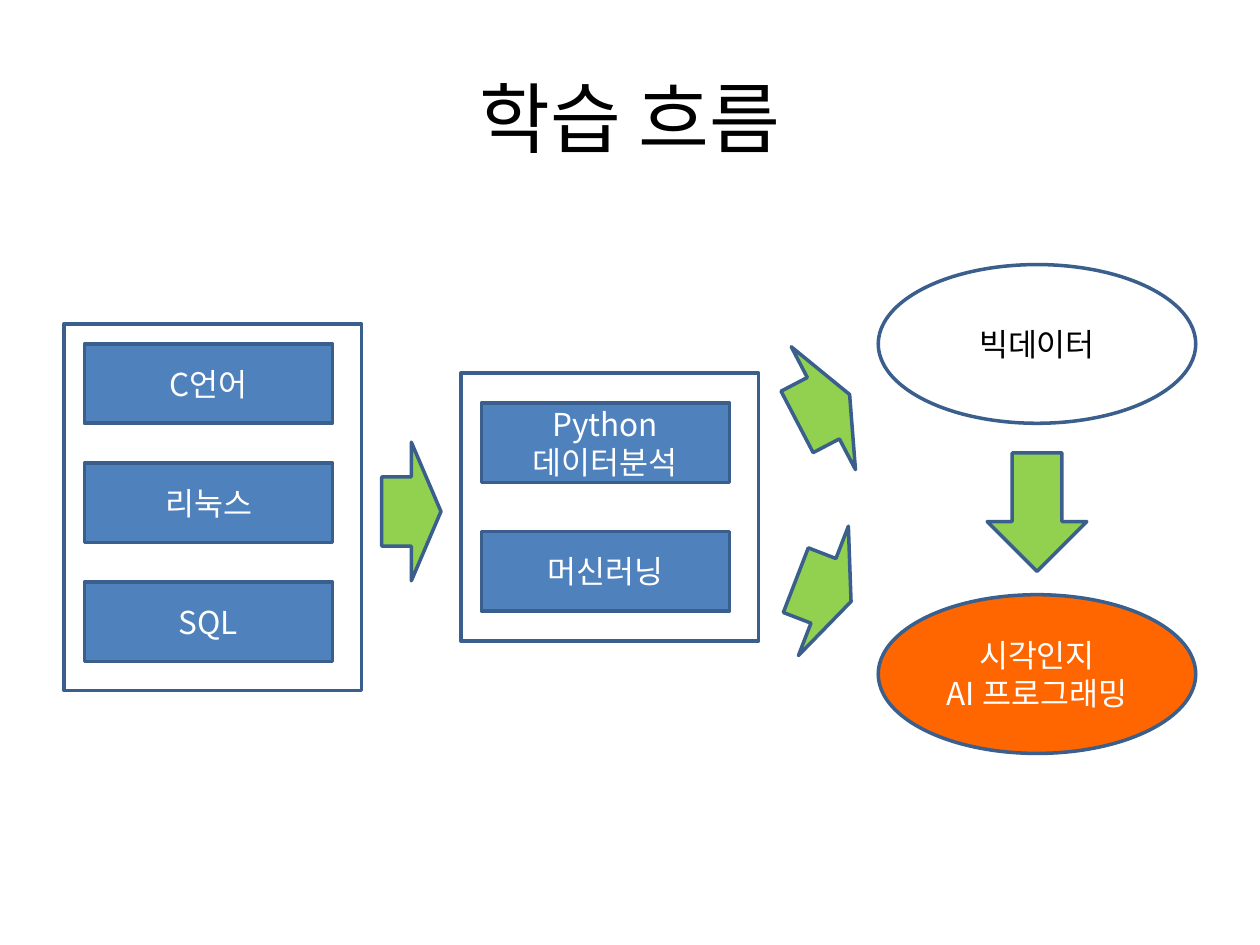
from dataclasses import dataclass
from typing import Optional

from lxml import etree
from pptx import Presentation
from pptx.dml.color import RGBColor
from pptx.enum.shapes import MSO_SHAPE
from pptx.enum.text import MSO_ANCHOR, PP_ALIGN
from pptx.oxml.ns import qn
from pptx.util import Inches, Pt

RECT = MSO_SHAPE.RECTANGLE
OVAL = MSO_SHAPE.OVAL
ARROW = MSO_SHAPE.RIGHT_ARROW
MIDDLE = MSO_ANCHOR.MIDDLE
CENTER = PP_ALIGN.CENTER

FONT = "Noto Sans CJK KR"
COLORS = {
    "blue": "4F81BD",
    "edge": "3A5F8C",
    "green": "92D050",
    "orange": "FF6600",
    "white": "FFFFFF",
    "black": "000000",
}


@dataclass
class Item:
    """A shape in the learning flow, with lengths in inches."""

    kind: MSO_SHAPE
    left: float
    top: float
    width: float
    height: float
    fill: Optional[str] = None
    text: str = ""
    ink: str = "white"
    turn: float = 0


@dataclass
class Group:
    """A framed column of topics, with lengths in inches."""

    left: float
    top: float
    height: float
    first: float
    step: float
    topics: list[str]


GROUPS = [
    Group(3.66, 2.96, 2.13, 3.2, 1.02, ["Python\n데이터분석", "머신러닝"]),
    Group(0.51, 2.57, 2.91, 2.73, 0.945, ["C언어", "리눅스", "SQL"]),
]
GOALS = [
    Item(OVAL, 6.97, 2.1, 2.52, 1.26, None, "빅데이터", "black"),
    Item(OVAL, 6.97, 4.72, 2.52, 1.26, "orange", "시각인지\nAI 프로그래밍"),
]
ARROWS = [
    Item(ARROW, 3.03, 3.51, 0.47, 1.1, "green"),
    Item(ARROW, 6.3, 2.69, 0.47, 1.1, "green", turn=332.4),
    Item(ARROW, 6.3, 4.14, 0.47, 1.1, "green", turn=21.1),
    Item(ARROW, 7.76, 3.67, 0.94, 0.79, "green", turn=90),
]


def color(name: str) -> RGBColor:
    """Look up a named colour."""
    return RGBColor.from_string(COLORS[name])


def write(frame, text: str, size: float, ink: str) -> None:
    """Write centred lines into a text frame."""
    frame.word_wrap = True
    frame.vertical_anchor = MIDDLE
    frame.text = text
    for para in frame.paragraphs:
        para.alignment = CENTER
        font = para.font
        font.name = FONT
        font.size = Pt(size)
        font.color.rgb = color(ink)
        props = para._p.pPr.find(qn("a:defRPr"))
        etree.SubElement(props, qn("a:ea")).set("typeface", FONT)


def draw(slide, item: Item) -> None:
    """Draw one outlined shape with its text."""
    spot = (item.left, item.top, item.width, item.height)
    shape = slide.shapes.add_shape(item.kind, *map(Inches, spot))
    shape.shadow.inherit = False
    shape.rotation = item.turn
    if item.fill:
        shape.fill.solid()
        shape.fill.fore_color.rgb = color(item.fill)
    else:
        shape.fill.background()
    shape.line.color.rgb = color("edge")
    shape.line.width = Pt(2)
    if item.text:
        write(shape.text_frame, item.text, 18, item.ink)


def stack(slide, group: Group) -> None:
    """Draw a column of topics and the frame around it."""
    for row, topic in enumerate(group.topics):
        top = group.first + row * group.step
        draw(slide, Item(RECT, group.left + 0.16, top, 1.97, 0.63, "blue", topic))
    draw(slide, Item(RECT, group.left, group.top, 2.36, group.height))


def main() -> None:
    """Build the learning flow slide."""
    deck = Presentation()
    deck.slide_width = Inches(10)
    deck.slide_height = Inches(7.5)
    slide = deck.slides.add_slide(deck.slide_layouts[6])
    title = slide.shapes.add_textbox(*map(Inches, (0.5, 0.3, 9, 1.25)))
    write(title.text_frame, "학습 흐름", 44, "black")
    for group in GROUPS:
        stack(slide, group)
    for item in GOALS + ARROWS:
        draw(slide, item)
    deck.save("out.pptx")


if __name__ == "__main__":
    main()
